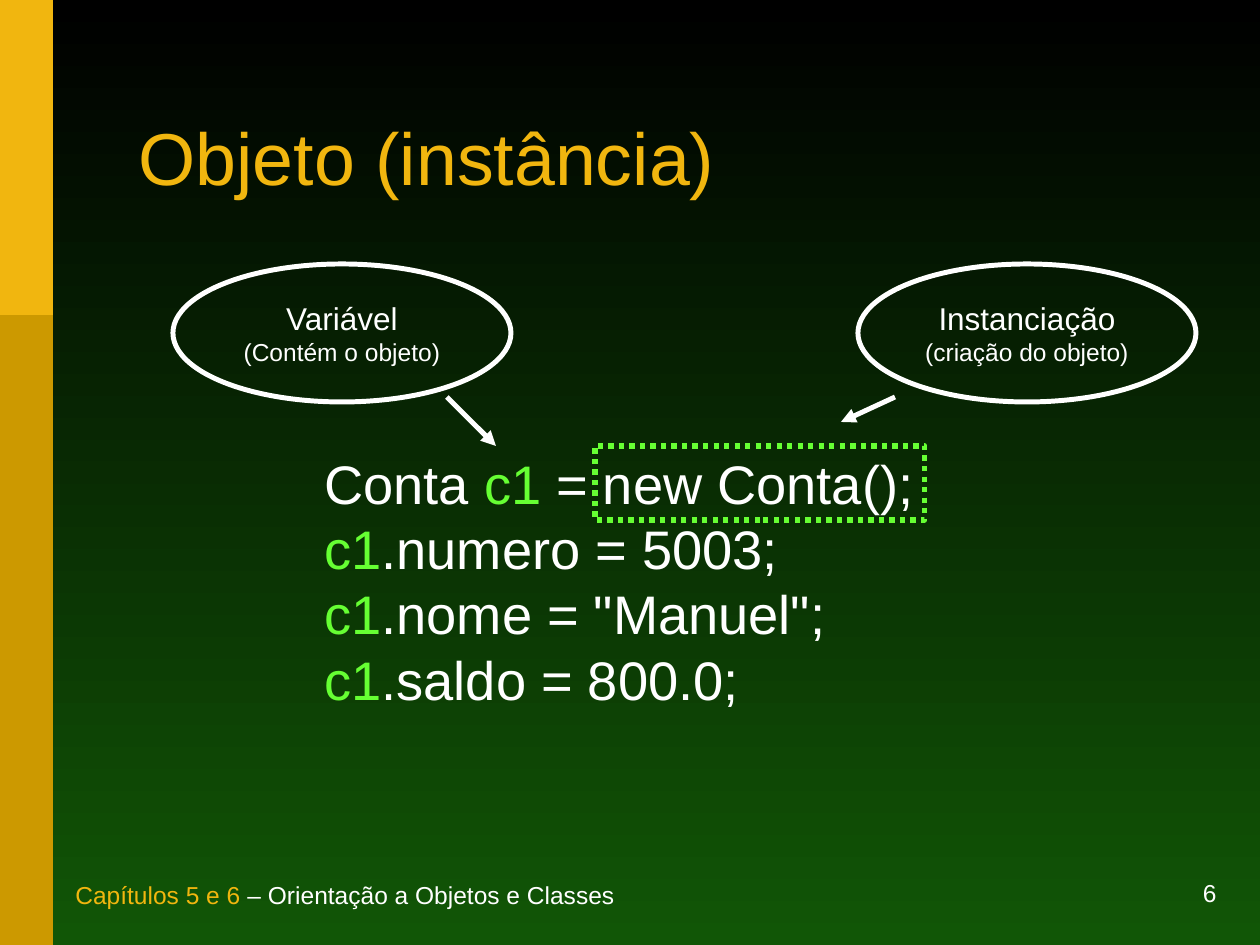
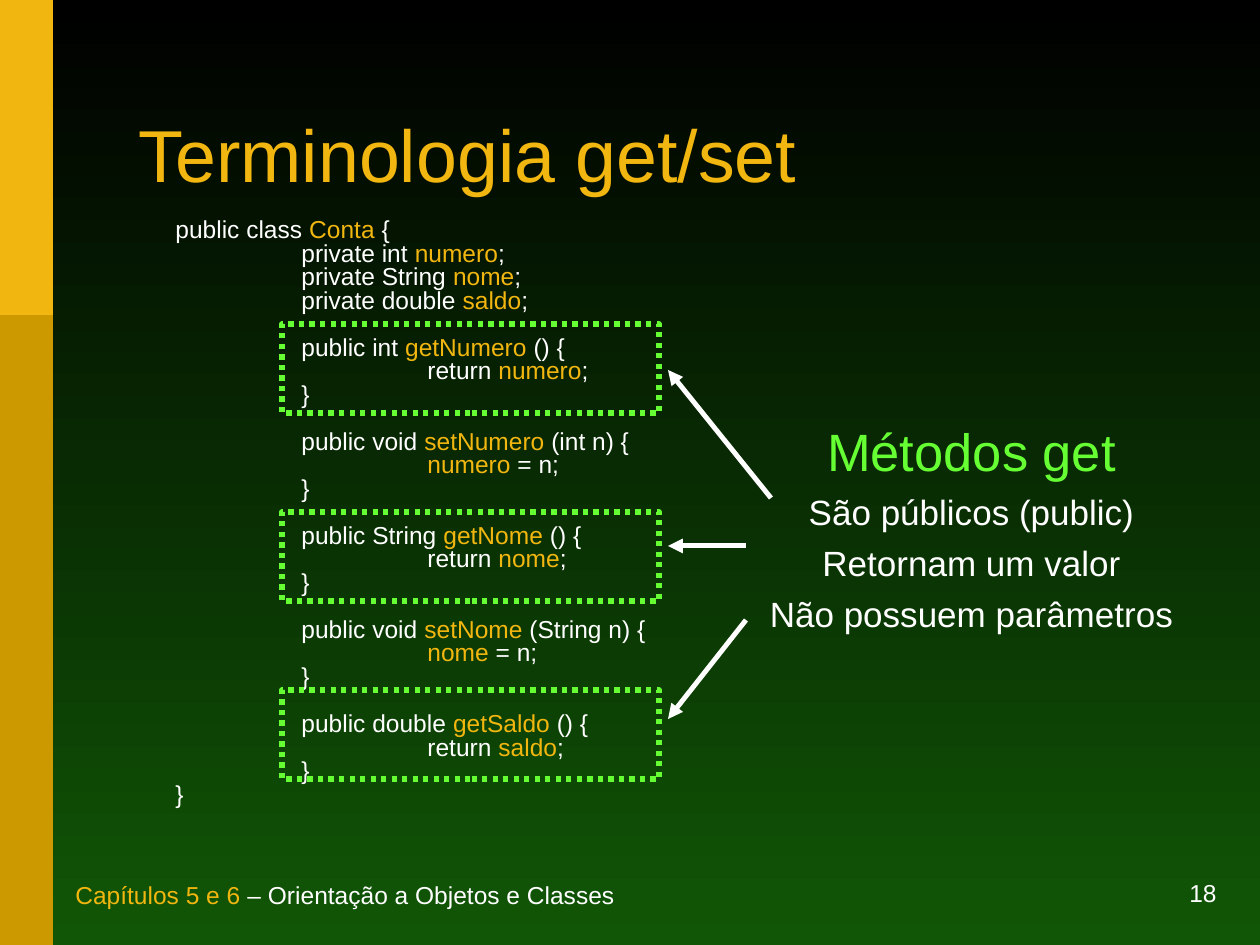
from lxml import etree
from pptx import Presentation
from pptx.dml.color import RGBColor
from pptx.enum import dml, shapes, text
from pptx.oxml import ns
from pptx import util as u

GOLD = RGBColor(0xF1, 0xB6, 0x0F)
OCHRE = RGBColor(0xCC, 0x99, 0x00)
LIME = RGBColor(0x66, 0xFF, 0x33)
WHITE = RGBColor(0xFF, 0xFF, 0xFF)
BLACK = RGBColor(0x00, 0x00, 0x00)
GREEN = RGBColor(0x11, 0x56, 0x06)
FONT = "Arial"
WIDE, HIGH = 1260, 945
THIN, THICK = 2.83, 3
LEFT, MID, RIGHT = text.PP_ALIGN.LEFT, text.PP_ALIGN.CENTER, text.PP_ALIGN.RIGHT

# Lines of code: (indent level, text with *marked* words); None leaves a gap
CLASS = [
    (0, "public class *Conta* {"),
    (1, "private int *numero*;"),
    (1, "private String *nome*;"),
    (1, "private double *saldo*;"),
    None,
    (1, "public int *getNumero* () {"),
    (2, "return *numero*;"),
    (1, "}"),
    None,
    (1, "public void *setNumero* (int n) {"),
    (2, "*numero* = n;"),
    (1, "}"),
    None,
    (1, "public String *getNome* () {"),
    (2, "return *nome*;"),
    (1, "}"),
    None,
    (1, "public void *setNome* (String n) {"),
    (2, "*nome* = n;"),
    (1, "}"),
    None,
    (1, "public double *getSaldo* () {"),
    (2, "return *saldo*;"),
    (1, "}"),
    (0, "}"),
]
USAGE = [
    (0, "Conta *c1* = new Conta();"),
    (0, "*c1*.numero = 5003;"),
    (0, '*c1*.nome = "Manuel";'),
    (0, "*c1*.saldo = 800.0;"),
]


def px(n):
    return u.Emu(round(n * 914400 / 126))


def place(box):
    return [px(n) for n in box]


def write(par, words, size, align=LEFT, ink=WHITE, mark=GOLD):
    """Fill a paragraph; words between asterisks take the mark colour."""
    par.alignment = align
    par.font.name, par.font.size = FONT, u.Pt(size)
    for i, part in enumerate(words.split("*")):
        if part:
            run = par.add_run()
            run.text = part
            run.font.color.rgb = mark if i % 2 else ink


def add_par(frame):
    first = frame.paragraphs[0]
    return frame.add_paragraph() if first.runs else first


def add_text(slide, box, anchor=text.MSO_ANCHOR.TOP):
    frame = slide.shapes.add_textbox(*place(box)).text_frame
    frame.word_wrap = True
    frame.vertical_anchor = anchor
    return frame


def add_shape(slide, kind, box, fill=None, line=None, width=THIN):
    shape = slide.shapes.add_shape(kind, *place(box))
    shape.shadow.inherit = False
    if fill is None:
        shape.fill.background()
    else:
        shape.fill.solid()
        shape.fill.fore_color.rgb = fill
    if line is None:
        shape.line.fill.background()
    else:
        shape.line.color.rgb = line
        shape.line.width = u.Pt(width)
    return shape


def add_frame(slide, box):
    shape = add_shape(slide, shapes.MSO_SHAPE.RECTANGLE, box, line=LIME, width=THICK)
    shape.line.dash_style = dml.MSO_LINE.ROUND_DOT


def add_arrow(slide, start, end):
    link = slide.shapes.add_connector(
        shapes.MSO_CONNECTOR.STRAIGHT, *place(start + end))
    link.line.color.rgb = WHITE
    link.line.width = u.Pt(THIN)
    etree.SubElement(link.line._get_or_add_ln(), ns.qn("a:tailEnd"), type="triangle")
    etree.SubElement(link._element.spPr, ns.qn("a:effectLst"))


def add_oval(slide, box, name, note):
    oval = add_shape(slide, shapes.MSO_SHAPE.OVAL, box, line=WHITE)
    frame = oval.text_frame
    frame.vertical_anchor = text.MSO_ANCHOR.MIDDLE
    for words, size in ((name, 18), (note, 14)):
        write(add_par(frame), words, size, MID)


def add_code(slide, box, lines, size, pitch, mark):
    """Code with a fixed line pitch and one inch of indent per level."""
    frame = add_text(slide, box)
    gap = 0
    for line in lines:
        if line is None:
            gap = pitch
            continue
        level, words = line
        par = add_par(frame)
        write(par, words, size, mark=mark)
        par.line_spacing = u.Pt(pitch)
        par.space_before = u.Pt(gap)
        par._p.get_or_add_pPr().set("marL", str(u.Inches(level)))
        gap = 0


def add_slide(deck, name, top, page):
    slide = deck.slides.add_slide(deck.slide_layouts[5])
    # Background
    back = slide.background.fill
    back.gradient()
    back.gradient_angle = 270
    for stop, tone, spot in zip(back.gradient_stops, (BLACK, GREEN), (0, 1)):
        stop.color.rgb, stop.position = tone, spot
    # Side bands
    for tall, tone in ((HIGH, OCHRE), (HIGH // 3, GOLD)):
        add_shape(slide, shapes.MSO_SHAPE.RECTANGLE, (0, 0, 53, tall), tone)
    # Title
    title = slide.shapes.title
    title.left, title.top, title.width, title.height = place((126, top, 1039, 163))
    frame = title.text_frame
    frame.auto_size = text.MSO_AUTO_SIZE.NONE
    frame.vertical_anchor = text.MSO_ANCHOR.MIDDLE
    write(frame.paragraphs[0], name, 42, ink=GOLD)
    frame.paragraphs[0].line_spacing = 0.85
    # Footer
    low = text.MSO_ANCHOR.BOTTOM
    number = add_text(slide, (914, 882, 315, 32), low)
    write(number.paragraphs[0], str(page), 14, RIGHT)
    chapter = add_text(slide, (63, 882, 843, 34), low)
    write(chapter.paragraphs[0],
          "*Capítulos 5 e 6* – Orientação a Objetos e Classes", 14)
    return slide


def object_slide(deck):
    slide = add_slide(deck, "Objeto (instância)", 82, 6)
    add_code(slide, (312, 444, 653, 297), USAGE, 31, 37.25, LIME)
    add_frame(slide, (595, 446, 330, 74))
    # Callouts
    for left, name, note in ((173, "Variável", "(Contém o objeto)"),
                             (858, "Instanciação", "(criação do objeto)")):
        add_oval(slide, (left, 264, 338, 138), name, note)
    add_arrow(slide, (447, 397), (496, 446))
    add_arrow(slide, (895, 397), (841, 422))


def getter_slide(deck):
    slide = add_slide(deck, "Terminologia get/set", 79, 18)
    add_code(slide, (163, 214, 964, 607), CLASS, 14, 13.45, GOLD)
    # Frames around the get methods
    for top in (324, 512, 690):
        add_frame(slide, (282, top, 377, 89))
    # Explanation
    frame = add_text(slide, (709, 413, 525, 228))
    head = add_par(frame)
    write(head, "Métodos get", 30, MID, LIME)
    head.space_before = u.Pt(7.5)
    for words in ("São públicos (public)", "Retornam um valor",
                  "Não possuem parâmetros"):
        par = add_par(frame)
        write(par, words, 20, MID)
        par.space_before = u.Pt(5)
    # Arrows to the frames
    for start, end in (((771, 498), 370), ((746, 546), 546), ((746, 620), 719)):
        add_arrow(slide, start, (668, end))


def main():
    deck = Presentation()
    deck.slide_width, deck.slide_height = px(WIDE), px(HIGH)
    object_slide(deck)
    getter_slide(deck)
    deck.save("out.pptx")


if __name__ == "__main__":
    main()
